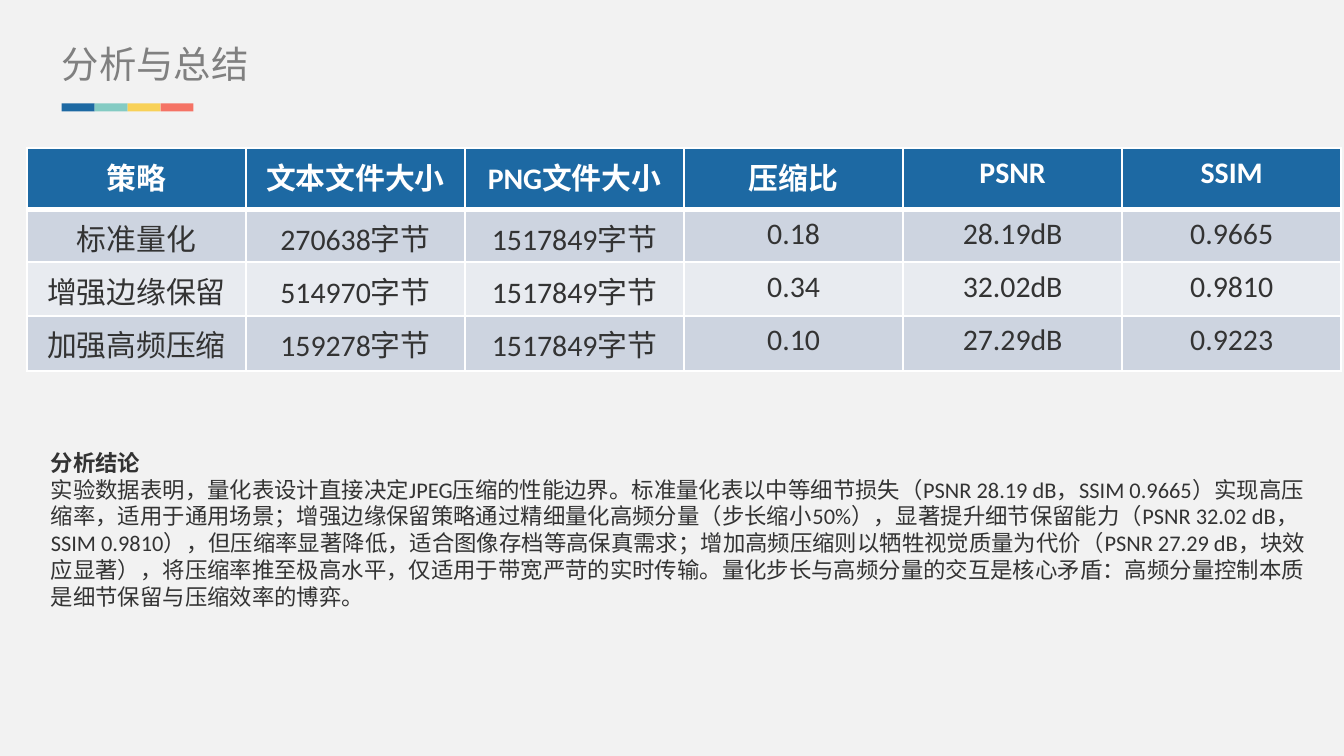
from lxml.etree import SubElement
from pptx import Presentation
from pptx.dml.color import RGBColor
from pptx.enum.shapes import MSO_SHAPE
from pptx.enum.text import MSO_ANCHOR, MSO_AUTO_SIZE, PP_ALIGN
from pptx.oxml.ns import qn
from pptx.util import Inches, Pt

BACKGROUND = RGBColor(0xF2, 0xF2, 0xF2)
TITLE_GRAY = RGBColor(0x80, 0x80, 0x80)
INK = RGBColor(0x33, 0x33, 0x33)
WHITE = RGBColor(0xFF, 0xFF, 0xFF)
BLUE = RGBColor(0x1D, 0x69, 0xA3)
TEAL = RGBColor(0x84, 0xCB, 0xC3)
YELLOW = RGBColor(0xF8, 0xD1, 0x58)
CORAL = RGBColor(0xF5, 0x73, 0x65)
BANDS = (RGBColor(0xCD, 0xD4, 0xE0), RGBColor(0xE8, 0xEB, 0xF0))

LATIN_FONT = "Calibri"
CJK_FONT = "Noto Sans CJK SC"

RESULTS = [
    ("策略", "文本文件大小", "PNG文件大小", "压缩比", "PSNR", "SSIM"),
    ("标准量化", "270638字节", "1517849字节", "0.18", "28.19dB", "0.9665"),
    ("增强边缘保留", "514970字节", "1517849字节", "0.34", "32.02dB", "0.9810"),
    ("加强高频压缩", "159278字节", "1517849字节", "0.10", "27.29dB", "0.9223"),
]
ROW_HEIGHTS = (0.46, 0.39, 0.4, 0.41)

CONCLUSION_HEADING = "分析结论"
CONCLUSION = (
    "实验数据表明，量化表设计直接决定JPEG压缩的性能边界。"
    "标准量化表以中等细节损失（PSNR 28.19 dB，SSIM 0.9665）实现高压缩率，适用于通用场景；"
    "增强边缘保留策略通过精细量化高频分量（步长缩小50%），显著提升细节保留能力"
    "（PSNR 32.02 dB，SSIM 0.9810），但压缩率显著降低，适合图像存档等高保真需求；"
    "增加高频压缩则以牺牲视觉质量为代价（PSNR 27.29 dB，块效应显著），"
    "将压缩率推至极高水平，仅适用于带宽严苛的实时传输。"
    "量化步长与高频分量的交互是核心矛盾：高频分量控制本质是细节保留与压缩效率的博弈。"
)


def write(paragraph, text, size, color, bold=False, latin=LATIN_FONT, align=PP_ALIGN.LEFT):
    paragraph.text = text
    paragraph.alignment = align
    font = paragraph.font
    font.size, font.bold, font.name = Pt(size), bold, latin
    font.color.rgb = color
    defaults = paragraph._p.pPr.find(qn("a:defRPr"))
    SubElement(defaults, qn("a:ea"), typeface=CJK_FONT)


def add_title(slide, left, top, width, height):
    title = slide.shapes.title
    title.left, title.top = Inches(left), Inches(top)
    title.width, title.height = Inches(width), Inches(height)
    frame = title.text_frame
    frame.margin_left = frame.margin_right = frame.margin_top = frame.margin_bottom = 0
    frame.vertical_anchor = MSO_ANCHOR.TOP
    frame.auto_size = MSO_AUTO_SIZE.SHAPE_TO_FIT_TEXT
    write(frame.paragraphs[0], "分析与总结", 20, TITLE_GRAY, latin=CJK_FONT)


def add_color_strip(slide, left, top, width, height):
    colors = (BLUE, TEAL, YELLOW, CORAL)
    step = width / len(colors)
    strip = slide.shapes.add_group_shape()
    for index, color in enumerate(colors):
        block = strip.shapes.add_shape(
            MSO_SHAPE.RECTANGLE,
            Inches(left + index * step), Inches(top), Inches(step), Inches(height),
        )
        block.shadow.inherit = False
        block.fill.solid()
        block.fill.fore_color.rgb = color
        block.line.fill.background()


def set_borders(cell, top, bottom):
    """Draw white borders, with the top and bottom widths in points."""
    properties = cell._tc.get_or_add_tcPr()
    for side, width in (("L", 1), ("R", 1), ("T", top), ("B", bottom)):
        line = SubElement(properties, qn(f"a:ln{side}"), w=str(Pt(width)))
        fill = SubElement(line, qn("a:solidFill"))
        SubElement(fill, qn("a:srgbClr"), val=str(WHITE))


def add_results_table(slide, left, top, width):
    columns = len(RESULTS[0])
    table = slide.shapes.add_table(
        len(RESULTS), columns,
        Inches(left), Inches(top), Inches(width), Inches(sum(ROW_HEIGHTS)),
    ).table
    for column in table.columns:
        column.width = Inches(width / columns)
    for row_index, (values, height) in enumerate(zip(RESULTS, ROW_HEIGHTS)):
        table.rows[row_index].height = Inches(height)
        is_header = row_index == 0
        for column_index, value in enumerate(values):
            cell = table.cell(row_index, column_index)
            set_borders(cell, 3 if row_index == 1 else 1, 3 if is_header else 1)
            cell.fill.solid()
            cell.fill.fore_color.rgb = BLUE if is_header else BANDS[(row_index - 1) % 2]
            write(cell.text_frame.paragraphs[0], value, 16,
                  WHITE if is_header else INK, bold=is_header, align=PP_ALIGN.CENTER)


def add_conclusion(slide, left, top, width, height):
    box = slide.shapes.add_textbox(Inches(left), Inches(top), Inches(width), Inches(height))
    frame = box.text_frame
    frame.word_wrap = True
    frame.auto_size = MSO_AUTO_SIZE.SHAPE_TO_FIT_TEXT
    write(frame.paragraphs[0], CONCLUSION_HEADING, 12, INK, bold=True, latin=CJK_FONT)
    write(frame.add_paragraph(), CONCLUSION, 12, INK)


def main():
    deck = Presentation()
    deck.slide_width = Inches(10)
    deck.slide_height = deck.slide_width * 9 // 16
    slide = deck.slides.add_slide(deck.slide_layouts[5])
    slide.background.fill.solid()
    slide.background.fill.fore_color.rgb = BACKGROUND
    add_title(slide, 0.46, 0.31, 3.04, 0.34)
    add_color_strip(slide, 0.46, 0.77, 0.98, 0.06)
    add_results_table(slide, 0.2, 1.1, 9.78)
    add_conclusion(slide, 0.28, 3.29, 9.61, 1.31)
    deck.save("out.pptx")


if __name__ == "__main__":
    main()
